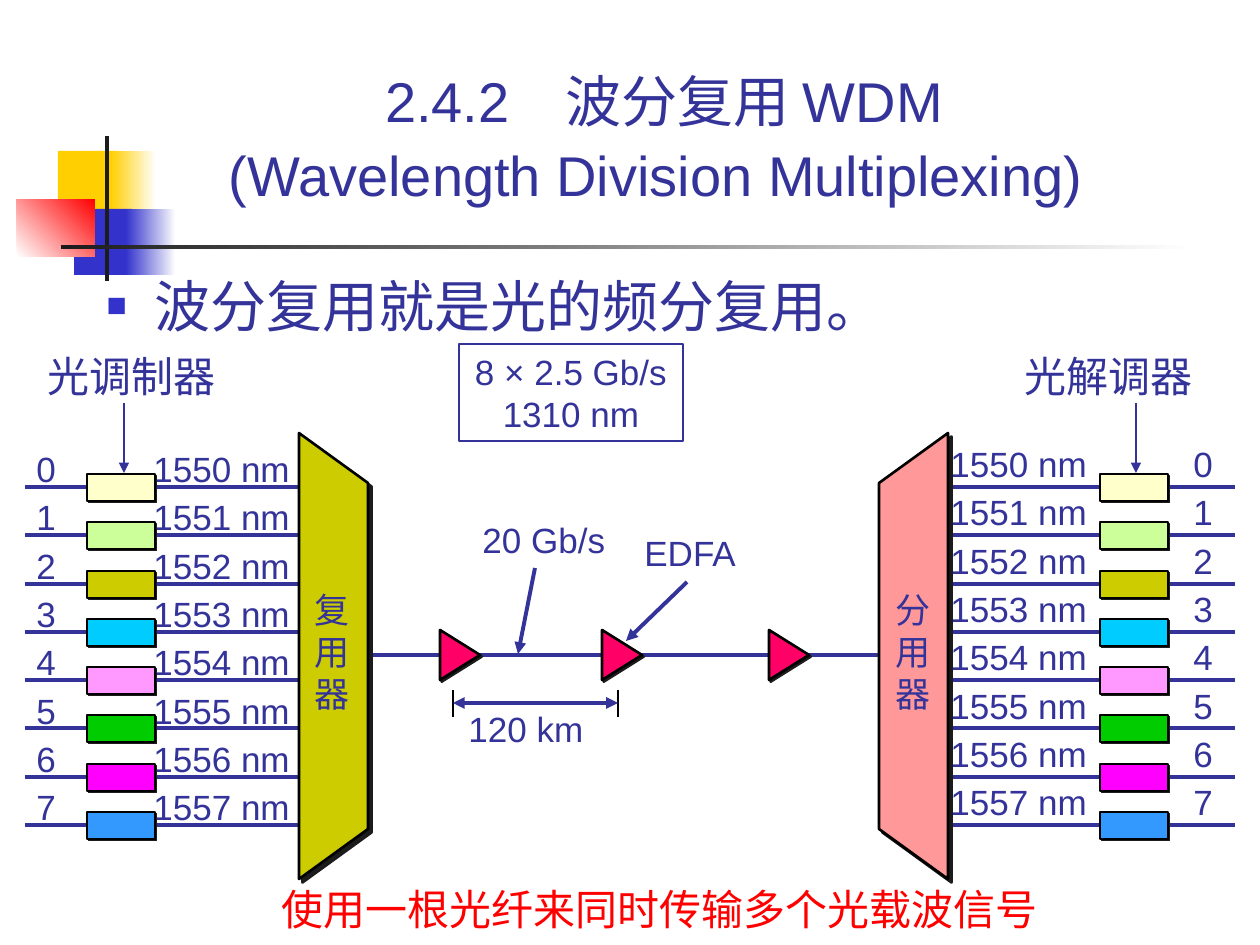
from lxml import etree
from pptx import Presentation, util as u
from pptx.dml.color import RGBColor
from pptx.enum import shapes, text
from pptx.oxml.ns import qn

PX = 914400 / 126
INK = RGBColor(0x33, 0x33, 0x99)
BLUE = RGBColor(0x33, 0x33, 0xCC)
YELLOW = RGBColor(0xFF, 0xCF, 0x01)
RED = RGBColor(0xFF, 0x00, 0x00)
WHITE = RGBColor(0xFF, 0xFF, 0xFF)
BLACK = RGBColor(0x00, 0x00, 0x00)
DARK = RGBColor(0x1C, 0x1C, 0x1C)
OLIVE = RGBColor(0xCC, 0xCC, 0x00)
SALMON = RGBColor(0xFF, 0x99, 0x99)
PINK = RGBColor(0xFF, 0x00, 0x66)
CHANNEL_COLORS = [
    RGBColor(0xFF, 0xFF, 0xCC), RGBColor(0xCC, 0xFF, 0x99), OLIVE,
    RGBColor(0x00, 0xCC, 0xFF), RGBColor(0xFF, 0x99, 0xFF),
    RGBColor(0x00, 0xCC, 0x00), RGBColor(0xFF, 0x00, 0xFF),
    RGBColor(0x33, 0x99, 0xFF),
]
CENTER = text.PP_ALIGN.CENTER


def px(*values):
    return [round(value * PX) for value in values]


def write(shape, content, size=20, font="Arial", color=INK, align=text.PP_ALIGN.LEFT,
          spacing=None, tab=None, anchor=text.MSO_ANCHOR.TOP):
    frame = shape.text_frame
    frame.text = content
    frame.word_wrap = True
    frame.auto_size = text.MSO_AUTO_SIZE.NONE
    frame.vertical_anchor = anchor
    for paragraph in frame.paragraphs:
        paragraph.alignment = align
        if spacing:
            paragraph.line_spacing = spacing
        if tab:
            stops = etree.SubElement(paragraph._p.get_or_add_pPr(), qn("a:tabLst"))
            etree.SubElement(stops, qn("a:tab"), pos=str(px(tab)[0]), algn="l")
        for run in paragraph.runs:
            run.font.size = u.Pt(size)
            run.font.name = font
            run.font.color.rgb = color


presentation = Presentation()
presentation.slide_width, presentation.slide_height = px(1260, 945)
slide = presentation.slides.add_slide(presentation.slide_layouts[1])

title = slide.shapes.title
title.left, title.top, title.width, title.height = px(159, 35, 1010, 179)
write(title, "2.4.2　波分复用 WDM\v(Wavelength Division Multiplexing) ",
      size=32, align=CENTER, spacing=1.1, anchor=text.MSO_ANCHOR.BOTTOM)

body = slide.placeholders[1]
body.left, body.top, body.width, body.height = px(94, 265, 1142, 567)
write(body, "波分复用就是光的频分复用。", size=32)
body.text_frame.paragraphs[0].space_before = u.Pt(0)
properties = body.text_frame.paragraphs[0]._p.get_or_add_pPr()
indent = px(48)[0]
properties.set("marL", str(indent))
properties.set("indent", str(-indent))
bullet_color = etree.SubElement(properties, qn("a:buClr"))
etree.SubElement(bullet_color, qn("a:srgbClr"), val=str(BLUE))
etree.SubElement(properties, qn("a:buSzPct"), val="60000")
etree.SubElement(properties, qn("a:buFont"), typeface="Arial")
etree.SubElement(properties, qn("a:buChar"), char="■")

for box, start, end, angle in [
    ((58, 151, 60, 66), YELLOW, None, 0),
    ((111, 151, 45, 66), YELLOW, WHITE, 0),
    ((74, 209, 58, 66), BLUE, None, 0),
    ((126, 209, 50, 66), BLUE, WHITE, 0),
    ((17, 199, 78, 58), WHITE, RED, 45),
    ((105, 136, 4, 145), DARK, None, 0),
    ((61, 245, 1134, 4), DARK, WHITE, 0),
]:
    shape = slide.shapes.add_shape(shapes.MSO_SHAPE.RECTANGLE, *px(*box))
    shape.shadow.inherit = False
    shape.line.fill.background()
    if end is None:
        shape.fill.solid()
        shape.fill.fore_color.rgb = start
    else:
        shape.fill.gradient()
        shape.fill.gradient_angle = angle
        for stop, color in zip(shape.fill.gradient_stops, (start, end)):
            stop.color.rgb = color

channels = range(len(CHANNEL_COLORS))
left_labels = "\n".join(f"{i}\t{1550 + i} nm" for i in channels)
right_labels = "\n".join(f"{1550 + i} nm\t{i}" for i in channels)
write(slide.shapes.add_textbox(*px(24, 435, 318, 399)), left_labels, spacing=1.15, tab=117)
write(slide.shapes.add_textbox(*px(938, 430, 298, 399)), right_labels, spacing=1.15, tab=243)

wire_tops = [round(487 + 48.3 * i) for i in channels]
wires = [(x, y, x + 287, y, INK, 2.25, "") for x in (25, 948) for y in wire_tops]
for x1, y1, x2, y2, color, width, arrows in wires + [
    (320, 655, 940, 655, INK, 2.25, ""),
    (535, 568, 518, 654, INK, 2.25, "tail"),
    (687, 582, 626, 641, INK, 2.25, "tail"),
    (453, 690, 453, 717, BLACK, 0.75, ""),
    (618, 690, 618, 717, BLACK, 0.75, ""),
    (453, 703, 618, 703, INK, 2.25, "head tail"),
    (124, 403, 124, 473, INK, 0.75, "tail"),
    (1136, 403, 1136, 473, INK, 0.75, "tail"),
]:
    connector = slide.shapes.add_connector(
        shapes.MSO_CONNECTOR.STRAIGHT, *px(x1, y1, x2, y2))
    connector.line.color.rgb = color
    connector.line.width = u.Pt(width)
    for end in arrows.split():
        etree.SubElement(connector.line._get_or_add_ln(), qn(f"a:{end}End"), type="triangle")
    etree.SubElement(connector._element.spPr, qn("a:effectLst"))

devices = []
for x in (87, 1100):
    for y, color in zip(wire_tops, CHANNEL_COLORS):
        shape = slide.shapes.add_shape(shapes.MSO_SHAPE.RECTANGLE, *px(x, y - 13, 68, 27))
        devices.append((shape, color, 0.75, 1.4))
for center in (460, 622, 789):
    shape = slide.shapes.add_shape(
        shapes.MSO_SHAPE.ISOSCELES_TRIANGLE, *px(center - 25, 635, 50, 40))
    shape.rotation = 90
    devices.append((shape, PINK, 1.5, 1.4))
for outer, inner, color in [(299, 368, OLIVE), (948, 879, SALMON)]:
    builder = slide.shapes.build_freeform(outer, 433, scale=PX)
    builder.add_line_segments([(inner, 483), (inner, 829), (outer, 879)], close=True)
    devices.append((builder.convert_to_shape(), color, 1.5, 2.8))

for shape, color, width, distance in devices:
    shape.fill.solid()
    shape.fill.fore_color.rgb = color
    shape.line.color.rgb = BLACK
    shape.line.width = u.Pt(width)
    shape.shadow.inherit = False
    effects = shape._element.spPr.find(qn("a:effectLst"))
    shadow = etree.SubElement(effects, qn("a:outerShdw"), dist=str(u.Pt(distance)),
                              dir="2700000", algn="ctr", rotWithShape="0")
    etree.SubElement(shadow, qn("a:srgbClr"), val=str(DARK))

rate_box = slide.shapes.add_textbox(*px(459, 344, 224, 97))
rate_box.line.color.rgb = INK
rate_box.line.width = u.Pt(0.75)
write(rate_box, "8 × 2.5 Gb/s\n1310 nm", align=CENTER)

for box, content, options in [
    ((470, 512, 154, 55), "20 Gb/s", {}),
    ((632, 525, 124, 55), "EDFA", {}),
    ((456, 701, 146, 55), "120 km", {}),
    ((302, 582, 64, 139), "复\n用\n器", {"font": "Times New Roman"}),
    ((883, 582, 64, 139), "分\n用\n器", {"font": "Times New Roman"}),
    ((35, 344, 200, 63), "光调制器", {"size": 24, "font": "Roboto"}),
    ((1012, 344, 200, 63), "光解调器", {"size": 24, "font": "Roboto"}),
    ((263, 877, 794, 63), "使用一根光纤来同时传输多个光载波信号",
     {"size": 24, "font": "Roboto", "color": RED, "align": CENTER}),
]:
    write(slide.shapes.add_textbox(*px(*box)), content, **options)

presentation.save("out.pptx")
